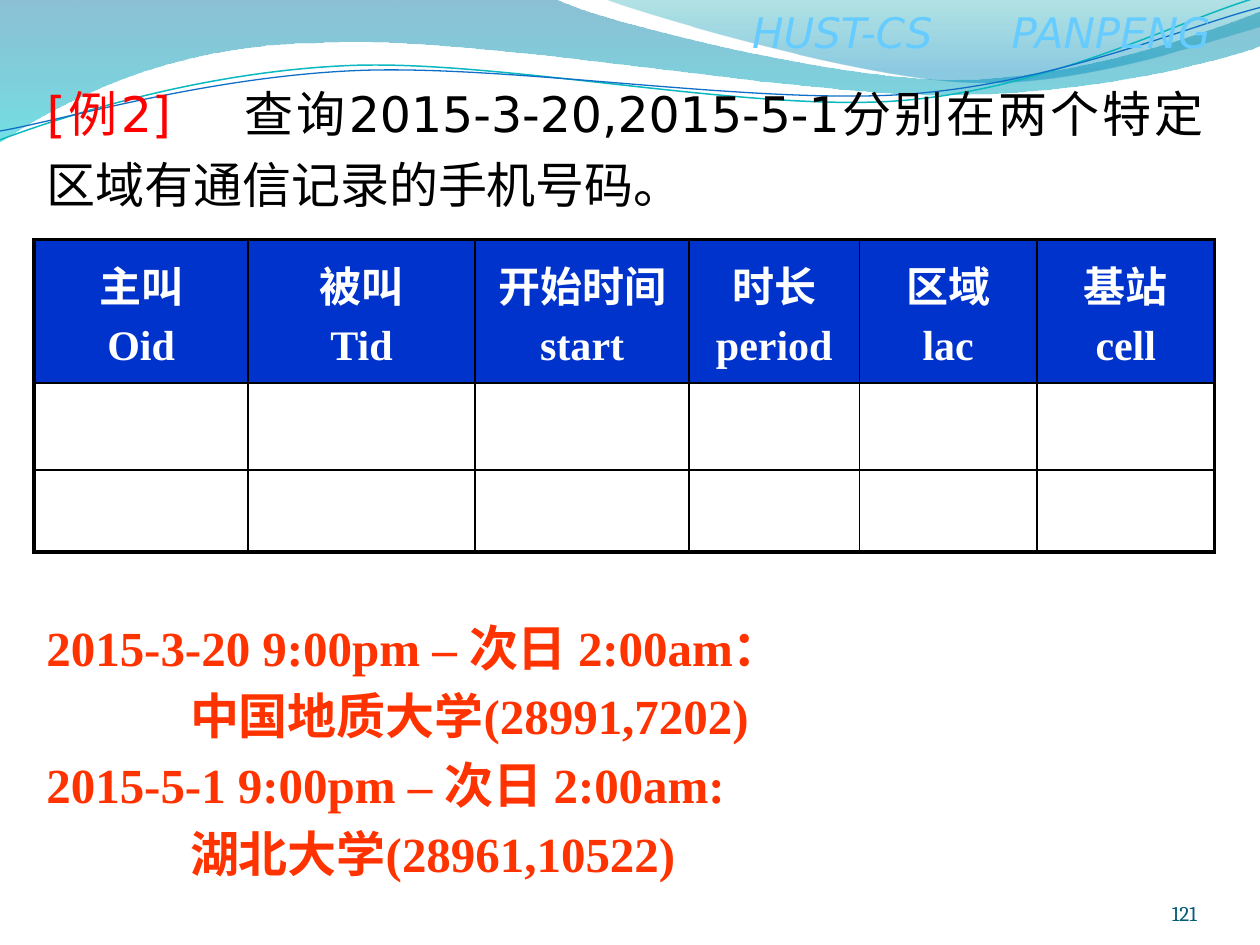
import dataclasses
import math

import lxml.etree
import pptx
import pptx.dml.color
import pptx.enum.text
import pptx.oxml.ns
import pptx.util

Inches, Pt = pptx.util.Inches, pptx.util.Pt
ALIGN, ANCHOR = pptx.enum.text.PP_ALIGN, pptx.enum.text.MSO_ANCHOR
qn = pptx.oxml.ns.qn


@dataclasses.dataclass(frozen=True)
class Theme:
    brand: str = "66CCFF"
    label: str = "FF0000"
    text: str = "000000"
    answer: str = "FF3300"
    header_fill: str = "0033CC"
    header_text: str = "FFFFFF"
    number: str = "045D75"
    border: str = "000000"
    sans: str = "DejaVu Sans"
    serif: str = "Times New Roman"
    number_font: str = "Cambria"
    body_size: int = 28
    table_size: int = 24
    number_size: int = 12
    paragraph_gap: float = 0.2  # share of the type size
    outer_line: float = 2.25
    inner_line: float = 1


THEME = Theme()

# Outlines: a start point, then points for lines and triples of points for curves
LEFT_BAND = [
    (0, -0.01), (4.4, -0.01),
    ((4.76, 0.17), (6.64, 0.63), (7.58, 0.63)),
    ((8.53, 0.63), (9.58, 0.26), (10, 0.09)), (10.01, 0.36),
    ((9.83, 0.44), (8.7, 0.76), (7.46, 0.75)),
    ((6.22, 0.75), (3.82, 0.28), (2.57, 0.34)),
    ((1.29, 0.35), (0.46, 0.83), (-0.01, 1.13)),
]
RIGHT_BAND = [
    (4.79, -0.01),
    ((5.09, 0.11), (6.82, 0.62), (7.69, 0.65)),
    ((8.56, 0.69), (9.61, 0.32), (10, 0.21)), (10, 0),
]
TEAL_WAVE = [
    (0, 1.11),
    ((0.48, 0.93), (1.58, 0.57), (2.77, 0.52)),
    ((3.95, 0.47), (5.93, 0.89), (7.13, 0.8)),
    ((8.33, 0.71), (9.38, 0.15), (9.98, -0.02)),
]
BLUE_WAVE = [
    (0, 1.04),
    ((0.47, 0.96), (1.64, 0.61), (2.83, 0.56)),
    ((4.03, 0.51), (5.97, 0.83), (7.17, 0.75)),
    ((8.36, 0.67), (9.41, 0.21), (10, 0.06)),
]
# Gradient stops: position, colour, opacity (percent)
BANDS = [
    (LEFT_BAND, [(0, "0074A1", 45), (100, "00C6CF", 55)]),
    (RIGHT_BAND, [(0, "00A1A9", 30), (80, "008BBF", 45)]),
]
WAVES = [(TEAL_WAVE, "0AB8BF", 0.85), (BLUE_WAVE, "0F6FC6", 0.75)]
WAVE_TILT = -2.7
WAVE_CENTER = (4.99, 0.58)

COLUMNS = [("主叫", "Oid", 1.7), ("被叫", "Tid", 1.8), ("开始时间", "start", 1.7),
           ("时长", "period", 1.35), ("区域", "lac", 1.41), ("基站", "cell", 1.41)]
ROW_HEIGHTS = [1.14, 0.69, 0.65]
ANSWERS = [
    ("2015-3-20 9:00pm – 次日 2:00am：", "中国地质大学(28991,7202)"),
    ("2015-5-1 9:00pm – 次日 2:00am:", "湖北大学(28961,10522)"),
]


def rgb(value):
    return pptx.dml.color.RGBColor.from_string(value)


def set_format(target, **values):
    for name, value in values.items():
        setattr(target, name, value)


def add_run(paragraph, text, color, size, name, **style):
    run = paragraph.add_run()
    run.text = text
    set_format(run.font, size=Pt(size), name=name, **style)
    run.font.color.rgb = rgb(color)


def add_tab_stop(paragraph, position):
    stops = lxml.etree.SubElement(paragraph._p.get_or_add_pPr(), qn("a:tabLst"))
    lxml.etree.SubElement(stops, qn("a:tab"), pos=str(Inches(position)), algn="l")


def add_text_box(slide, box, **frame_format):
    frame = slide.shapes.add_textbox(*map(Inches, box)).text_frame
    set_format(frame, **{"word_wrap": True, **frame_format})
    return frame


def turn(point, degrees):
    """Turn a point clockwise about the centre of the waves."""
    dx, dy = (value - middle for value, middle in zip(point, WAVE_CENTER))
    cos, sin = math.cos(math.radians(degrees)), math.sin(math.radians(degrees))
    return WAVE_CENTER[0] + dx * cos - dy * sin, WAVE_CENTER[1] + dx * sin + dy * cos


def add_outline(slide, outline, close, tilt=0):
    parts = [part if len(part) == 3 else (part,) for part in outline]
    points = [tuple(map(Inches, turn(point, -tilt))) for part in parts for point in part]
    builder = slide.shapes.build_freeform(*points[0])
    builder.add_line_segments(points[1:], close=close)
    shape = builder.convert_to_shape()
    shape.shadow.inherit = False
    shape.rotation = tilt
    # Join the three segments of each curve into one Bezier command
    segments = iter(list(shape._element.iter(qn("a:lnTo"))))
    for part in parts[1:]:
        first, *others = [next(segments) for _ in part]
        if others:
            first.addprevious(curve := lxml.etree.Element(qn("a:cubicBezTo")))
            for segment in (first, *others):
                curve.append(segment[0])
                segment.getparent().remove(segment)
    return shape


def add_backdrop(slide):
    for outline, stops in BANDS:
        shape = add_outline(slide, outline, True)
        shape.line.fill.background()
        shape.fill.gradient()
        shape.fill.gradient_angle = 270
        for stop, (position, color, opacity) in zip(shape.fill.gradient_stops, stops):
            stop.color.rgb = rgb(color)
            stop._gs.set("pos", str(position * 1000))
            lxml.etree.SubElement(stop._gs[0], qn("a:alpha"), val=str(opacity * 1000))
    for outline, color, width in WAVES:
        shape = add_outline(slide, outline, False, WAVE_TILT)
        shape.fill.background()
        shape.line.color.rgb = rgb(color)
        shape.line.width = Pt(width)


def add_brand(slide, box):
    paragraph = add_text_box(slide, box, word_wrap=False).paragraphs[0]
    add_tab_stop(paragraph, 2.06)
    add_run(paragraph, "HUST-CS\tPANPENG", THEME.brand, THEME.table_size, THEME.sans, italic=True)


def add_slide_number(slide, box):
    frame = add_text_box(slide, box, vertical_anchor=ANCHOR.BOTTOM, margin_left=0,
                         margin_right=0, margin_top=0, margin_bottom=0)
    frame.paragraphs[0].alignment = ALIGN.RIGHT
    add_run(frame.paragraphs[0], "121", THEME.number, THEME.number_size, THEME.number_font)


def place_question(slide, box):
    title = slide.shapes.title
    set_format(title, **dict(zip(("left", "top", "width", "height"), map(Inches, box))))
    # Bring the title in front of the backdrop
    slide.shapes._spTree.append(title._element)
    set_format(title.text_frame, word_wrap=True, vertical_anchor=ANCHOR.TOP,
               auto_size=pptx.enum.text.MSO_AUTO_SIZE.NONE)
    paragraph = title.text_frame.paragraphs[0]
    set_format(paragraph, alignment=ALIGN.JUSTIFY, line_spacing=1.2)
    add_tab_stop(paragraph, 1.5)
    add_run(paragraph, "[例2]\t", THEME.label, THEME.body_size, THEME.sans)
    add_run(paragraph, "查询2015-3-20,2015-5-1分别在两个特定区域有通信记录的手机号码。",
            THEME.text, THEME.body_size, THEME.sans)


def set_borders(cell, outer_sides):
    for side in "LRTB":
        width = THEME.outer_line if side in outer_sides else THEME.inner_line
        line = lxml.etree.SubElement(cell._tc.get_or_add_tcPr(), qn("a:ln" + side),
                                     w=str(Pt(width)))
        fill = lxml.etree.SubElement(line, qn("a:solidFill"))
        lxml.etree.SubElement(fill, qn("a:srgbClr"), val=THEME.border)


def add_call_table(slide, box):
    last_row, last_column = len(ROW_HEIGHTS) - 1, len(COLUMNS) - 1
    table = slide.shapes.add_table(last_row + 1, last_column + 1, *map(Inches, box)).table
    set_format(table, first_row=False, horz_banding=False)
    for row, height in zip(table.rows, ROW_HEIGHTS):
        row.height = Inches(height)
    for c, (chinese, field, width) in enumerate(COLUMNS):
        table.columns[c].width = Inches(width)
        for r in range(last_row + 1):
            edges = {"L": c == 0, "R": c == last_column, "T": r == 0, "B": r == last_row}
            set_borders(table.cell(r, c), [side for side, outer in edges.items() if outer])
            table.cell(r, c).fill.background()
        # Header cell: Chinese name above field name
        header = table.cell(0, c)
        header.fill.solid()
        header.fill.fore_color.rgb = rgb(THEME.header_fill)
        header.vertical_anchor = ANCHOR.MIDDLE
        first = header.text_frame.paragraphs[0]
        second = header.text_frame.add_paragraph()
        second.space_before = Pt(THEME.paragraph_gap * THEME.table_size)
        for paragraph, text in ((first, chinese), (second, field)):
            paragraph.alignment = ALIGN.CENTER
            add_run(paragraph, text, THEME.header_text, THEME.table_size, THEME.serif, bold=True)


def add_answers(slide, box):
    frame = add_text_box(slide, box)
    lines = [(text, indent) for pair in ANSWERS for text, indent in zip(pair, (0, 1.14))]
    for index, (text, indent) in enumerate(lines):
        paragraph = frame.add_paragraph() if index else frame.paragraphs[0]
        paragraph.alignment = ALIGN.JUSTIFY
        if index:
            paragraph.space_before = Pt(THEME.paragraph_gap * THEME.body_size)
        paragraph._p.get_or_add_pPr().set("marL", str(Inches(indent)))
        add_run(paragraph, text, THEME.answer, THEME.body_size, THEME.serif, bold=True)


def main():
    presentation = pptx.Presentation()
    presentation.slide_width, presentation.slide_height = Inches(10), Inches(7.5)
    slide = presentation.slides.add_slide(presentation.slide_layouts[5])
    add_backdrop(slide)
    add_brand(slide, (5.87, 0, 4.05, 0.5))
    add_slide_number(slide, (8.67, 6.95, 0.83, 0.4))
    place_question(slide, (0.27, 0.52, 9.38, 1.34))
    add_call_table(slide, (0.27, 1.9, 9.38, 2.48))
    add_answers(slide, (0.27, 4.85, 9.13, 2.36))
    presentation.save("out.pptx")


if __name__ == "__main__":
    main()
